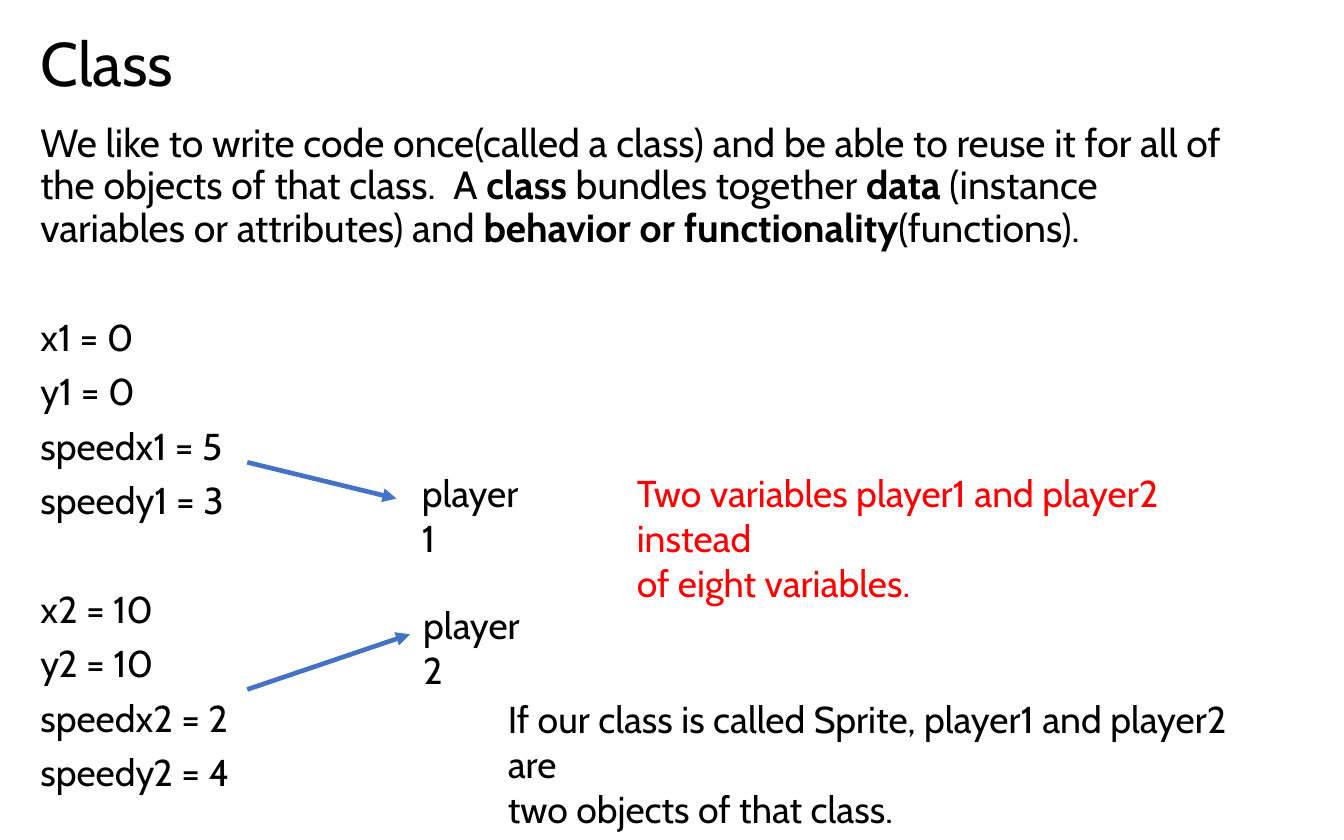
from lxml.etree import SubElement
from pptx import Presentation
from pptx.dml.color import RGBColor
from pptx.enum.shapes import MSO_CONNECTOR as Connector
from pptx.enum.text import MSO_ANCHOR as Anchor, MSO_AUTO_SIZE as AutoSize, PP_ALIGN as Align
from pptx.oxml.ns import qn
from pptx.util import Inches, Pt

COLORS = {"text": "000000", "accent": "FF0000", "arrow": "4472C4"}
FONT = "Cabin"
LINE_GAP, GROUP_GAP = 7.5, 36.7

TITLE = "Class"
INTRO = [
    ("We like to write code once(called a class) and be able to reuse it for all of "
     "the objects of that class.  A ", False),
    ("class", True),
    (" bundles together ", False),
    ("data ", True),
    ("(instance variables or attributes) and ", False),
    ("behavior or functionality", True),
    ("(functions).", False),
]
VARIABLE_GROUPS = [
    ["x1 = 0", "y1 = 0", "speedx1 = 5", "speedy1 = 3"],
    ["x2 = 10", "y2 = 10", "speedx2 = 2", "speedy2 = 4"],
]
NOTES = [
    (["Two variables player1 and player2 instead", "of eight variables."],
     (4.64, 3.45, 4.87, 0.77), "accent"),
    (["player2"], (3.05, 4.43, 1.01, 0.44), "text"),
    (["player1"], (3.04, 3.45, 1.01, 0.44), "text"),
    (["If our class is called Sprite, player1 and player2 are", "two objects of that class."],
     (3.68, 5.13, 5.95, 0.77), "text"),
]
ARROWS = [(1.84, 3.44, 2.95, 3.71), (1.84, 5.13, 3.05, 4.72)]


def write(paragraph, text, size=20, color="text", bold=False, before=0, spacing=None):
    paragraph.alignment = Align.LEFT
    paragraph.space_before = Pt(before)
    if spacing:
        paragraph.line_spacing = spacing
    run = paragraph.add_run()
    run.text = text
    run.font.name = FONT
    run.font.size = Pt(size)
    run.font.bold = bold
    run.font.color.rgb = RGBColor.from_string(COLORS[color])


def place(holder, box, anchor):
    holder.left, holder.top, holder.width, holder.height = map(Inches, box)
    frame = holder.text_frame
    frame.word_wrap = True
    frame.auto_size = AutoSize.NONE
    frame.vertical_anchor = anchor
    return frame


def remove_bullet(paragraph):
    properties = paragraph._p.get_or_add_pPr()
    properties.set("marL", "0")
    properties.set("indent", "0")
    SubElement(properties, qn("a:buNone"))


def add_arrow(slide, ends):
    arrow = slide.shapes.add_connector(Connector.STRAIGHT, *map(Inches, ends))
    arrow.line.color.rgb = RGBColor.from_string(COLORS["arrow"])
    arrow.line.width = Pt(2.5)
    SubElement(arrow.line._get_or_add_ln(), qn("a:tailEnd"), type="triangle")
    SubElement(arrow._element.spPr, qn("a:effectLst"))


def main():
    deck = Presentation()
    deck.slide_width, deck.slide_height = Inches(10), Inches(6.25)
    slide = deck.slides.add_slide(deck.slide_layouts[1])

    title = place(slide.shapes.title, (0.2, 0.12, 7.71, 0.75), Anchor.MIDDLE)
    write(title.paragraphs[0], TITLE, size=33, spacing=0.9)

    body = place(slide.placeholders[1], (0.2, 0.87, 9.14, 5.26), Anchor.TOP)
    intro = body.paragraphs[0]
    remove_bullet(intro)
    for text, bold in INTRO:
        write(intro, text, size=21, bold=bold, spacing=0.9)
    for group in VARIABLE_GROUPS:
        for index, assignment in enumerate(group):
            line = body.add_paragraph()
            remove_bullet(line)
            write(line, assignment, before=LINE_GAP if index else GROUP_GAP, spacing=0.9)

    for lines, box, color in NOTES:
        note = place(slide.shapes.add_textbox(*map(Inches, box)), box, Anchor.TOP)
        for index, text in enumerate(lines):
            write(note.add_paragraph() if index else note.paragraphs[0], text, color=color)

    for ends in ARROWS:
        add_arrow(slide, ends)

    deck.save("out.pptx")


if __name__ == "__main__":
    main()
